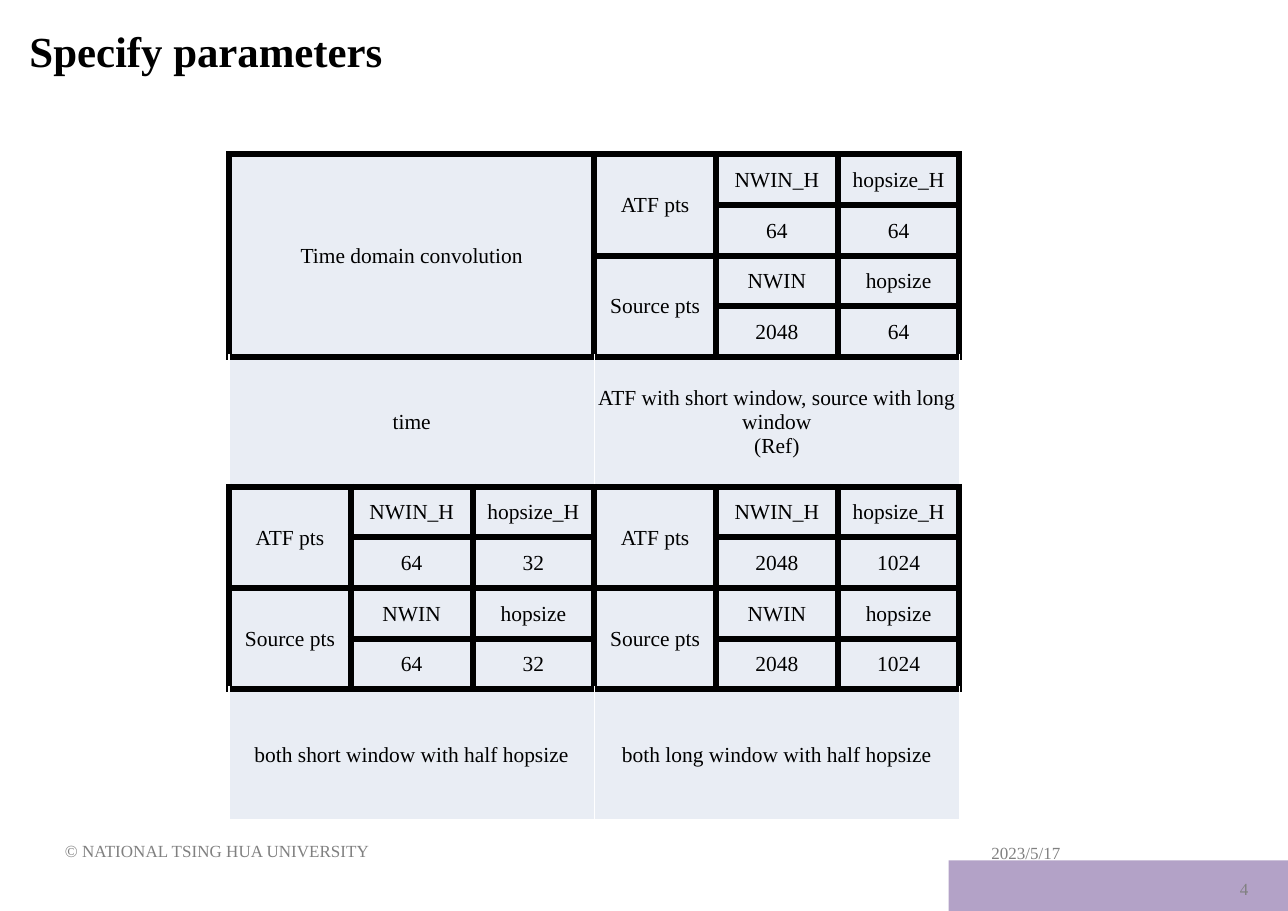
from dataclasses import dataclass

from lxml import etree
from pptx import Presentation
from pptx.dml.color import RGBColor
from pptx.enum.shapes import MSO_SHAPE
from pptx.enum.text import MSO_ANCHOR, PP_ALIGN
from pptx.oxml.ns import qn
from pptx.util import Emu, Inches, Pt

LEFT, CENTER, RIGHT = PP_ALIGN.LEFT, PP_ALIGN.CENTER, PP_ALIGN.RIGHT
MIDDLE = MSO_ANCHOR.MIDDLE
RECTANGLE = MSO_SHAPE.RECTANGLE

SLIDE_WIDTH, SLIDE_HEIGHT = Inches(11.69), Inches(8.27)
FONT = "Times New Roman"
BLACK, WHITE, GRAY = "000000", "FFFFFF", "808080"
LAVENDER, PALE_BLUE = "B3A2C7", "E9EDF4"
COLUMN_COUNT = 6
SHORT_ROW, TALL_ROW = Inches(0.46), Inches(1.18)
ROW_HEIGHTS = ([SHORT_ROW] * 4 + [TALL_ROW]) * 2
THICK, THIN = (BLACK, 4.5), (WHITE, 1)


@dataclass(frozen=True)
class Area:
    """Percentages of the slide's width and height."""
    left: float
    top: float
    width: float
    height: float

    def box(self) -> tuple[Emu, Emu, Emu, Emu]:
        return (Emu(round(SLIDE_WIDTH * self.left / 100)),
                Emu(round(SLIDE_HEIGHT * self.top / 100)),
                Emu(round(SLIDE_WIDTH * self.width / 100)),
                Emu(round(SLIDE_HEIGHT * self.height / 100)))


@dataclass(frozen=True)
class Label:
    area: Area
    text: str
    size: float = 11.1
    color: str = GRAY
    align: PP_ALIGN = LEFT
    bold: bool = False
    line_spacing: float | None = None


@dataclass(frozen=True)
class Entry:
    row: int
    column: int
    text: str
    rows: int = 1
    columns: int = 1
    caption: bool = False


@dataclass(frozen=True)
class ParameterBlock:
    row: int
    column: int
    atf: tuple[int, int]
    source: tuple[int, int]

    def entries(self) -> list[Entry]:
        found = []
        groups = (("ATF pts", ("NWIN_H", "hopsize_H"), self.atf),
                  ("Source pts", ("NWIN", "hopsize"), self.source))
        for index, (title, names, values) in enumerate(groups):
            row = self.row + 2 * index
            found.append(Entry(row, self.column, title, rows=2))
            for column, (name, value) in enumerate(zip(names, values), self.column + 1):
                found.append(Entry(row, column, name))
                found.append(Entry(row + 1, column, str(value)))
        return found


TABLE_AREA = Area(17.79, 16.93, 56.72, 73.04)
FOOTER_BAND = Area(73.65, 94.44, 26.35, 5.56)
LABELS = [
    Label(Area(1.45, 1.09, 88.54, 8.34), "Specify parameters", 28, BLACK,
          bold=True, line_spacing=36.9),
    Label(Area(76.13, 91.29, 11.8, 4.72), "2023/5/17"),
    Label(Area(4.19, 91.05, 27.29, 4.72), "© NATIONAL TSING HUA UNIVERSITY"),
    Label(Area(89.99, 95.16, 7.78, 4.72), "4", align=RIGHT),
]
PARAMETER_BLOCKS = [
    ParameterBlock(0, 3, (64, 64), (2048, 64)),
    ParameterBlock(5, 0, (64, 32), (64, 32)),
    ParameterBlock(5, 3, (2048, 1024), (2048, 1024)),
]
HEADINGS = [
    Entry(0, 0, "Time domain convolution", rows=4, columns=3),
    Entry(4, 0, "time", columns=3, caption=True),
    Entry(4, 3, "ATF with short window, source with long window\n(Ref)",
          columns=3, caption=True),
    Entry(9, 0, "both short window with half hopsize", columns=3, caption=True),
    Entry(9, 3, "both long window with half hopsize", columns=3, caption=True),
]


def rgb(color: str) -> RGBColor:
    return RGBColor.from_string(color)


def set_font(paragraph, size: float, color: str, bold: bool = False) -> None:
    font = paragraph.font
    font.name, font.size, font.bold = FONT, Pt(size), bold
    font.color.rgb = rgb(color)


def draw_band(slide, area: Area) -> None:
    band = slide.shapes.add_shape(RECTANGLE, *area.box())
    band.shadow.inherit = False
    band.fill.solid()
    band.fill.fore_color.rgb = rgb(LAVENDER)
    band.line.fill.background()


def draw_label(slide, label: Label) -> None:
    frame = slide.shapes.add_textbox(*label.area.box()).text_frame
    frame.word_wrap = True
    frame.vertical_anchor = MIDDLE
    paragraph = frame.paragraphs[0]
    paragraph.text = label.text
    paragraph.alignment = label.align
    if label.line_spacing:
        paragraph.line_spacing = Pt(label.line_spacing)
    set_font(paragraph, label.size, label.color, label.bold)


def add_border(cell, side: str, color: str, width: float) -> None:
    properties = cell._tc.get_or_add_tcPr()
    line = etree.SubElement(properties, qn(f"a:ln{side}"), w=str(Pt(width)))
    fill = etree.SubElement(line, qn("a:solidFill"))
    etree.SubElement(fill, qn("a:srgbClr"), val=color)


def style_cells(table, entry: Entry) -> None:
    last_row = entry.row + entry.rows - 1
    last_column = entry.column + entry.columns - 1
    side_line = THIN if entry.caption else THICK
    bottom_line = THIN if last_row == len(ROW_HEIGHTS) - 1 else THICK
    for row in range(entry.row, last_row + 1):
        for column in range(entry.column, last_column + 1):
            cell = table.cell(row, column)
            edges = (("L", column == entry.column, side_line),
                     ("R", column == last_column, side_line),
                     ("T", row == entry.row, THICK),
                     ("B", row == last_row, bottom_line))
            for side, outer, line in edges:
                if outer:
                    add_border(cell, side, *line)
            cell.fill.solid()
            cell.fill.fore_color.rgb = rgb(PALE_BLUE)


def fill_entry(table, entry: Entry) -> None:
    style_cells(table, entry)
    cell = table.cell(entry.row, entry.column)
    if entry.rows * entry.columns > 1:
        cell.merge(table.cell(entry.row + entry.rows - 1,
                              entry.column + entry.columns - 1))
    cell.margin_left = cell.margin_right = cell.margin_top = Inches(0.01)
    cell.margin_bottom = 0
    cell.vertical_anchor = MIDDLE
    cell.text = entry.text
    for paragraph in cell.text_frame.paragraphs:
        paragraph.alignment = CENTER
        set_font(paragraph, 14, BLACK)


def draw_parameter_table(slide) -> None:
    table = slide.shapes.add_table(len(ROW_HEIGHTS), COLUMN_COUNT,
                                   *TABLE_AREA.box()).table
    table.first_row = table.horz_banding = False
    for row, height in zip(table.rows, ROW_HEIGHTS):
        row.height = height
    for entry in HEADINGS:
        fill_entry(table, entry)
    for block in PARAMETER_BLOCKS:
        for entry in block.entries():
            fill_entry(table, entry)


def main() -> None:
    presentation = Presentation()
    presentation.slide_width, presentation.slide_height = SLIDE_WIDTH, SLIDE_HEIGHT
    slide = presentation.slides.add_slide(presentation.slide_layouts[6])
    draw_band(slide, FOOTER_BAND)
    for label in LABELS:
        draw_label(slide, label)
    draw_parameter_table(slide)
    presentation.save("out.pptx")


if __name__ == "__main__":
    main()
